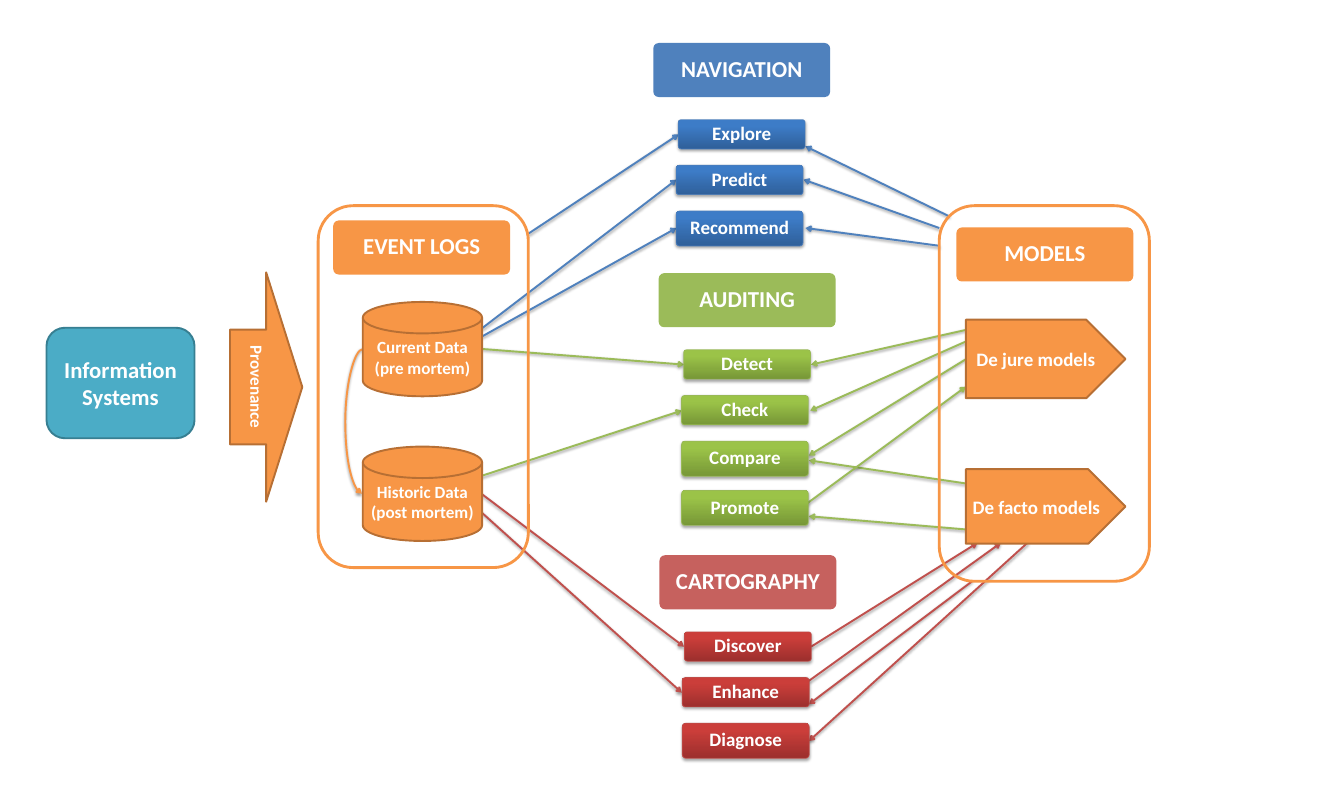
from lxml.etree import SubElement
from pptx import Presentation
from pptx.dml.color import RGBColor
from pptx.enum.shapes import MSO_CONNECTOR as Link, MSO_SHAPE as Preset
from pptx.enum.text import MSO_ANCHOR as Anchor, PP_ALIGN as Align
from pptx.oxml.ns import qn
from pptx.util import Cm, Pt

WHITE = RGBColor(0xFF, 0xFF, 0xFF)
BLACK = RGBColor(0x00, 0x00, 0x00)
BLUE = RGBColor(0x4F, 0x81, 0xBD)
GREEN = RGBColor(0x9B, 0xBB, 0x59)
RED = RGBColor(0xC0, 0x50, 0x4D)
ORANGE = RGBColor(0xF7, 0x96, 0x46)
BROWN = RGBColor(0xB7, 0x6F, 0x34)
TEAL = RGBColor(0x4B, 0xAC, 0xC6)
DARK_TEAL = RGBColor(0x37, 0x7F, 0x92)

# Activity button shades per theme colour: bottom, top, outline
SHADES = {
    BLUE: (RGBColor(0x2F, 0x5F, 0x99), RGBColor(0x3D, 0x7C, 0xC7), RGBColor(0x4B, 0x7E, 0xBC)),
    GREEN: (RGBColor(0x77, 0x97, 0x37), RGBColor(0x9B, 0xC3, 0x48), RGBColor(0x98, 0xB9, 0x55)),
    RED: (RGBColor(0x9C, 0x2F, 0x2D), RGBColor(0xCB, 0x3E, 0x3A), RGBColor(0xBF, 0x4C, 0x48)),
}


class Diagram:
    """Holds the style and the current slide; lengths are in centimetres."""
    font = "Calibri"
    header_size = (6.58, 2.01)
    button_width = 4.72
    # Left offset, top offset from the header, and height of each button
    button_rows = [(0.93, 2.85, 1.09), (0.85, 4.55, 1.09),
                   (0.85, 6.25, 1.3), (0.85, 8.08, 1.3)]

    def __init__(self, slide):
        self.slide = slide

    def shadow(self, element, opacity, distance):
        properties = element.spPr
        effects = properties.find(qn("a:effectLst"))
        if effects is None:
            effects = SubElement(properties, qn("a:effectLst"))
        outer = SubElement(effects, qn("a:outerShdw"), blurRad=str(Pt(3.1)),
                           dist=str(Pt(distance)), dir="5400000", rotWithShape="0")
        color = SubElement(outer, qn("a:srgbClr"), val=str(BLACK))
        SubElement(color, qn("a:alpha"), val=str(opacity * 1000))

    def shape(self, preset, box, fill=None, line=None, width=2, text="", size=20, spacing=1):
        shape = self.slide.shapes.add_shape(preset, *map(Cm, box))
        shape.shadow.inherit = False
        if fill is None:
            shape.fill.background()
        else:
            shape.fill.solid()
            shape.fill.fore_color.rgb = fill
        if line is None:
            shape.line.fill.background()
        else:
            shape.line.color.rgb = line
            shape.line.width = Pt(width)
        if text:
            self.label(shape.text_frame, text, size, spacing)
        return shape

    def label(self, frame, text, size, spacing):
        frame.text = text
        frame.word_wrap = True
        frame.vertical_anchor = Anchor.MIDDLE
        frame.margin_left = frame.margin_right = Cm(0.15)
        for paragraph in frame.paragraphs:
            paragraph.alignment = Align.CENTER
            paragraph.line_spacing = spacing
            font = paragraph.font
            font.name, font.size, font.bold = self.font, Pt(size), True
            font.color.rgb = WHITE

    def header(self, text, left, top, color):
        header = self.shape(Preset.ROUNDED_RECTANGLE, (left, top, *self.header_size),
                            color, text=text, size=24, spacing=0.9)
        header.adjustments[0] = 0.1
        return header

    def button(self, text, box, color):
        bottom, top, outline = SHADES[color]
        button = self.shape(Preset.ROUNDED_RECTANGLE, box, color, outline, 0.75, text, 20, 0.9)
        button.adjustments[0] = 0.1
        button.fill.gradient()
        button.fill.gradient_angle = 90
        for stop, shade, position in zip(button.fill.gradient_stops, (bottom, top), (0, 0.8)):
            stop.color.rgb = shade
            stop.position = position
        self.shadow(button._element, 35, 1.8)

    def activities(self, title, left, top, color, names):
        header = self.header(title, left, top, color)
        for name, (dx, dy, height) in zip(names, self.button_rows):
            self.button(name, (left + dx, top + dy, self.button_width, height), color)
        return header

    def arrow(self, color, start, end, kind=Link.STRAIGHT):
        arrow = self.slide.shapes.add_connector(kind, *map(Cm, (*start, *end)))
        arrow.line.color.rgb = color
        arrow.line.width = Pt(2)
        SubElement(arrow.line._get_or_add_ln(), qn("a:tailEnd"), type="arrow")
        self.shadow(arrow._element, 38, 1.6)
        return arrow

    def frame(self, box):
        self.shape(Preset.ROUNDED_RECTANGLE, box, line=ORANGE, width=3)


deck = Presentation()
deck.slide_width, deck.slide_height = Cm(50.01), Cm(30.05)
diagram = Diagram(deck.slides.add_slide(deck.slide_layouts[6]))

# Arrows between event logs, activities and models
flows = {
    BLUE: [
        ((19.66, 8.69), (25.25, 5.0)),
        ((17.96, 12.19), (25.17, 6.68)),
        ((17.96, 12.5), (25.17, 8.48)),
        ((35.33, 8.05), (29.97, 5.44)),
        ((34.95, 8.48), (29.9, 6.68)),
        ((34.95, 9.14), (29.97, 8.48)),
    ],
    GREEN: [
        ((17.96, 12.98), (25.45, 13.56)),
        ((17.91, 17.7), (25.37, 15.27)),
        ((35.94, 12.27), (30.18, 13.56)),
        ((35.94, 12.7), (30.15, 15.27)),
        ((35.94, 13.36), (30.1, 16.94)),
        ((35.94, 17.98), (30.1, 17.12)),
        ((35.94, 19.69), (30.1, 19.2)),
        ((29.9, 18.82), (35.94, 14.38)),
    ],
    RED: [
        ((17.91, 18.36), (25.45, 24.05)),
        ((17.91, 19.05), (25.37, 25.76)),
        ((30.18, 24.05), (36.37, 20.19)),
        ((30.1, 25.32), (37.24, 20.19)),
        ((38.23, 20.19), (30.1, 27.56)),
        ((36.17, 21.62), (30.1, 26.19)),
    ],
}
for flow_color, ends in flows.items():
    for start, end in ends:
        diagram.arrow(flow_color, start, end)

# Current data ageing into historic data
ageing = diagram.arrow(ORANGE, (13.51, 12.98), (13.47, 18.36), Link.CURVE)
bend = ageing._element.spPr.find(qn("a:prstGeom")).get_or_add_avLst()
SubElement(bend, qn("a:gd"), name="adj1", fmla="val 1650000")

# Activities
diagram.activities("NAVIGATION", 24.31, 1.6, BLUE, ["Explore", "Predict", "Recommend"])
diagram.activities("AUDITING", 24.51, 10.16, GREEN, ["Detect", "Check", "Compare", "Promote"])
cartography = diagram.activities("CARTOGRAPHY", 24.54, 20.65, RED,
                                 ["Discover", "Enhance", "Diagnose"])
cartography_color = cartography._element.spPr.find(qn("a:solidFill"))[0]
SubElement(cartography_color, qn("a:alpha"), val="90000")

# Event logs
diagram.header("EVENT LOGS", 12.4, 8.2, ORANGE)
for data, top in [("Current Data\n(pre mortem)", 11.23), ("Historic Data\n(post mortem)", 16.61)]:
    diagram.shape(Preset.FLOWCHART_MAGNETIC_DISK, (13.5, top, 4.44, 3.51),
                  ORANGE, BROWN, text=data, size=18)
diagram.frame((11.84, 7.65, 7.82, 13.46))

# Models
diagram.header("MODELS", 35.59, 8.46, ORANGE)
for model, top, height in [("De jure models", 11.89, 2.92), ("De facto models", 17.45, 2.77)]:
    diagram.shape(Preset.PENTAGON, (35.94, top, 5.94, height), ORANGE, BROWN, text=model)
diagram.frame((34.95, 7.65, 7.82, 13.97))

# Information systems and provenance
provenance = diagram.shape(Preset.RIGHT_ARROW, (8.56, 10.13, 2.69, 8.53),
                           ORANGE, BROWN, text="Provenance", size=18)
provenance.text_frame._txBody.bodyPr.set("vert", "vert")
diagram.shape(Preset.ROUNDED_RECTANGLE, (1.73, 12.19, 5.51, 4.11),
              TEAL, DARK_TEAL, text="Information Systems", size=24)

deck.save("out.pptx")
